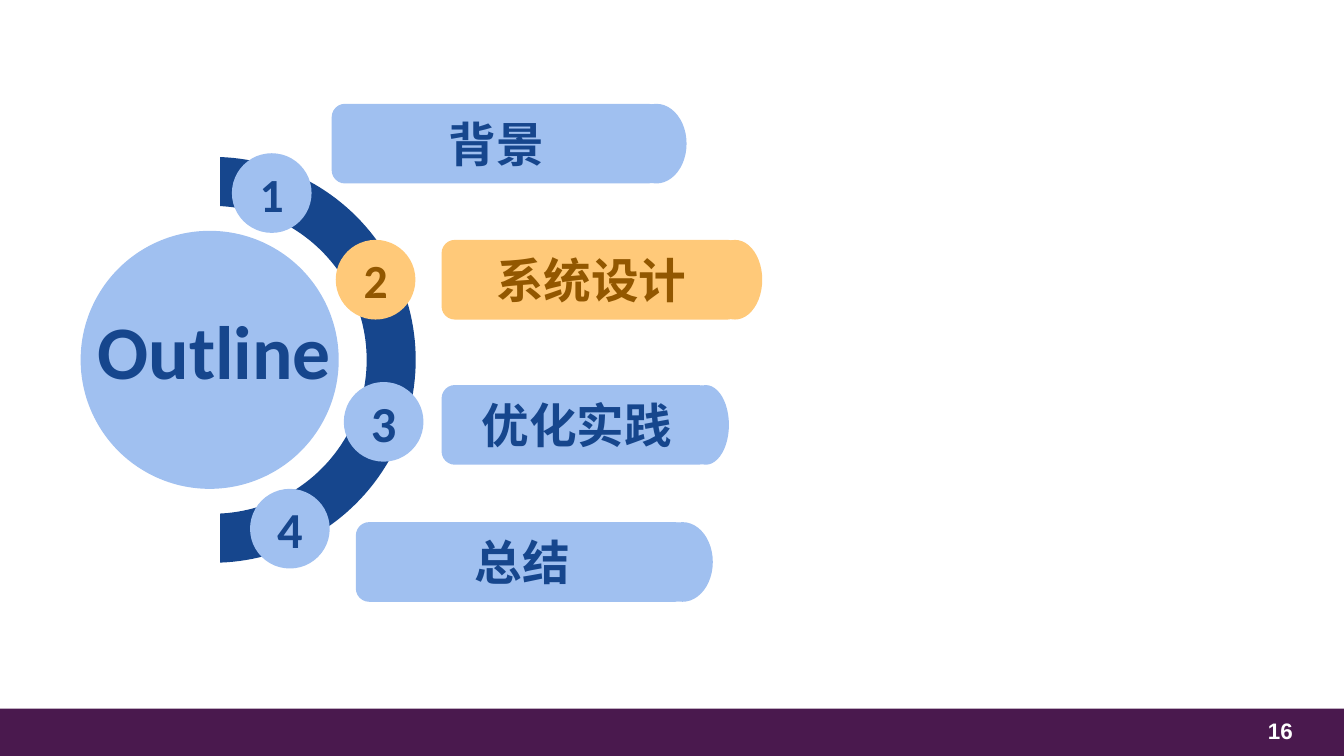
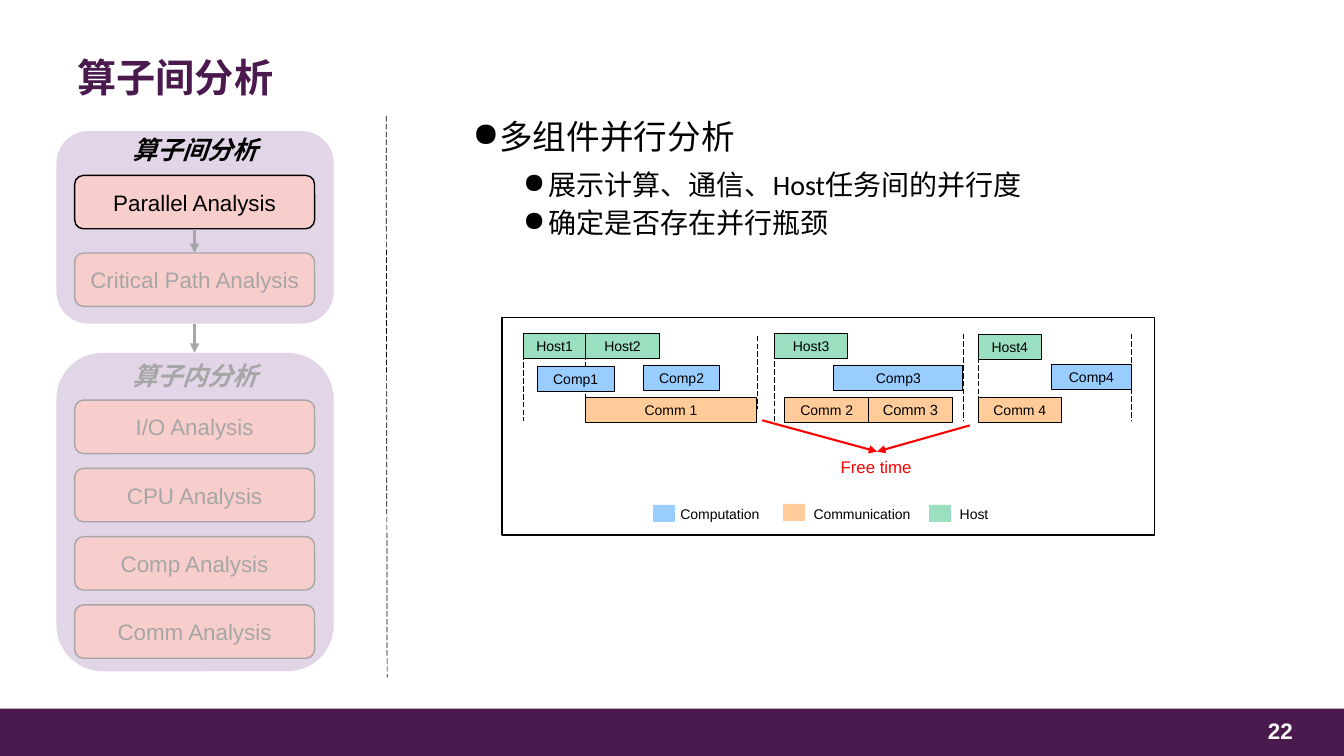
from lxml import etree
from pptx import Presentation
from pptx.dml.color import RGBColor
from pptx.enum.dml import MSO_LINE
from pptx.enum.shapes import MSO_CONNECTOR, MSO_SHAPE
from pptx.enum.text import MSO_ANCHOR, PP_ALIGN
from pptx.oxml.ns import qn
from pptx.util import Inches, Pt

RECT, ROUND, OVAL = MSO_SHAPE.RECTANGLE, MSO_SHAPE.ROUNDED_RECTANGLE, MSO_SHAPE.OVAL
STRAIGHT, LONG_DASH = MSO_CONNECTOR.STRAIGHT, MSO_LINE.LONG_DASH
LEFT, CENTER, RIGHT = PP_ALIGN.LEFT, PP_ALIGN.CENTER, PP_ALIGN.RIGHT
TOP, MIDDLE = MSO_ANCHOR.TOP, MSO_ANCHOR.MIDDLE

BLACK = RGBColor(0x00, 0x00, 0x00)
WHITE = RGBColor(0xFF, 0xFF, 0xFF)
GREY = RGBColor(0xA6, 0xA6, 0xA6)
RED = RGBColor(0xFF, 0x00, 0x00)
PURPLE = RGBColor(0x4A, 0x19, 0x4E)
NAVY = RGBColor(0x16, 0x46, 0x8D)
PALE_BLUE = RGBColor(0xA0, 0xC0, 0xF0)
AMBER = RGBColor(0xFF, 0xC9, 0x79)
BROWN = RGBColor(0x92, 0x57, 0x00)
LILAC = RGBColor(0xE1, 0xD5, 0xE7)
PINK = RGBColor(0xF8, 0xCE, 0xCC)
COMP = RGBColor(0x99, 0xCC, 0xFF)
COMM = RGBColor(0xFF, 0xCC, 0x99)
HOST = RGBColor(0x9A, 0xDF, 0xBF)

# Outline: label, number size, circle (left, top), bar (left, top, width), cap (left, width)
CHAPTERS = [
    ("背景", 34, (2.3, 1.52), (3.29, 1.03, 3.27), (6.21, 0.6)),
    ("系统设计", 34, (3.33, 2.38), (4.38, 2.38, 2.97), (7.02, 0.54)),
    ("优化实践", 36, (3.41, 3.79), (4.38, 3.82, 2.68), (6.77, 0.46)),
    ("总结", 36, (2.48, 4.85), (3.53, 5.18, 3.3), (6.47, 0.6)),
]
CURRENT_CHAPTER = 2
CHAPTER_H = 0.79

# Analysis flow: heading, heading top, colour, panel (top, height), first step top, pitch, steps
CURRENT_STEP = "Parallel Analysis"
PANELS = [
    ("算子间分析", 1.28, BLACK, (1.3, 1.91), 1.74, 0.77,
     [CURRENT_STEP, "Critical Path Analysis"]),
    ("算子内分析", 3.53, GREY, (3.5, 3.16), 3.97, 0.677,
     ["I/O Analysis", "CPU Analysis", "Comp Analysis", "Comm Analysis"]),
]
FLOW_ARROWS = [(2.27, 2.51), (3.21, 3.5)]

BULLETS = [
    (0, "多组件并行分析"),
    (1, "展示计算、通信、Host任务间的并行度"),
    (1, "确定是否存在并行瓶颈"),
]
BULLET_LEVELS = [dict(size=24, margin=0.25, after=10), dict(size=20, margin=0.75, after=6)]

# Timeline: label, left, top, width, colour
BAR_H = 0.25
BARS = [
    ("Host1", 5.19, 3.31, 0.62, HOST),
    ("Host2", 5.81, 3.31, 0.73, HOST),
    ("Host3", 7.68, 3.31, 0.73, HOST),
    ("Host4", 9.7, 3.32, 0.63, HOST),
    ("Comp1", 5.33, 3.63, 0.76, COMP),
    ("Comp2", 6.38, 3.62, 0.76, COMP),
    ("Comp3", 8.27, 3.62, 1.28, COMP),
    ("Comp4", 10.43, 3.61, 0.79, COMP),
    ("Comm 1", 5.81, 3.94, 1.69, COMM),
    ("Comm 2", 7.78, 3.94, 0.84, COMM),
    ("Comm 3", 8.61, 3.94, 0.84, COMM),
    ("Comm 4", 9.7, 3.94, 0.83, COMM),
]
# x, top, bottom
MARKERS = [(5.19, 3.44, 4.18), (5.81, 3.44, 4.06), (7.51, 3.33, 4.06), (7.68, 3.43, 4.18),
           (9.55, 3.31, 4.18), (9.7, 3.31, 4.09), (11.22, 3.31, 4.18)]
# label, swatch left, swatch top, label left, label width
LEGEND = [("Computation", COMP, 6.48, 5.01, 6.65, 1.43),
          ("Communication", COMM, 7.77, 5, 7.97, 1.79),
          ("Host", HOST, 9.22, 5.01, 9.42, 1.79)]
FREE_TIME_POINT = (8.7, 4.48)
FREE_TIME_STARTS = [(7.56, 4.17), (9.62, 4.22)]


def write(p, text, size=10, color=BLACK, font="Arial", bold=False, italic=False, align=LEFT):
    p.alignment = align
    r = p.add_run()
    r.text = text
    r.font.size, r.font.name = Pt(size), font
    r.font.bold, r.font.italic = bold, italic
    r.font.color.rgb = color


def add_text(s, box, text, anchor=TOP, **style):
    tf = s.shapes.add_textbox(*map(Inches, box)).text_frame
    tf.word_wrap = True
    tf.vertical_anchor = anchor
    write(tf.paragraphs[0], text, **style)


def add_box(s, kind, box, fill=None, line=None, width=1, text=None, **style):
    sp = s.shapes.add_shape(kind, *map(Inches, box))
    sp.shadow.inherit = False
    if fill is None:
        sp.fill.background()
    else:
        sp.fill.solid()
        sp.fill.fore_color.rgb = fill
    if line is None:
        sp.line.fill.background()
    else:
        sp.line.color.rgb = line
        sp.line.width = Pt(width)
    if text:
        tf = sp.text_frame
        tf.margin_left = tf.margin_right = tf.margin_top = tf.margin_bottom = 0
        tf.vertical_anchor = MIDDLE
        write(tf.paragraphs[0], text, align=CENTER, **style)


def add_line(s, start, end, color=BLACK, width=0.5, dashed=False, arrow=False):
    c = s.shapes.add_connector(STRAIGHT, *map(Inches, (*start, *end)))
    c.line.color.rgb = color
    c.line.width = Pt(width)
    if dashed:
        c.line.dash_style = LONG_DASH
    if arrow:
        etree.SubElement(c.line._get_or_add_ln(), qn("a:tailEnd"), type="triangle")
    etree.SubElement(c._element.spPr, qn("a:effectLst"))


def add_slide(prs, number, title=None):
    s = prs.slides.add_slide(prs.slide_layouts[6])
    add_box(s, RECT, (0, 7.03, 13.33, 0.47), PURPLE)
    add_text(s, (9.97, 7.07, 2.95, 0.35), str(number), MIDDLE,
             size=16, color=WHITE, bold=True, align=RIGHT)
    if title:
        add_text(s, (0.67, 0.38, 12, 0.77), title, MIDDLE,
                 size=28, color=PURPLE, font="Calibri", bold=True)
    return s


def add_bullets(s, box):
    tf = s.shapes.add_textbox(*map(Inches, box)).text_frame
    tf.word_wrap = True
    for i, (level, text) in enumerate(BULLETS):
        p = tf.add_paragraph() if i else tf.paragraphs[0]
        look = BULLET_LEVELS[level]
        p.level = level
        p.line_spacing = 0.9
        p.space_after = Pt(look["after"])
        pPr = p._p.get_or_add_pPr()
        pPr.set("marL", str(Inches(look["margin"])))
        pPr.set("indent", str(Inches(-0.25)))
        etree.SubElement(pPr, qn("a:buChar"), char="●")
        write(p, text, size=look["size"], font="Calibri")


def build_outline(prs):
    s = add_slide(prs, 16)
    add_box(s, OVAL, (0.34, 1.8, 3.54, 3.54), line=NAVY, width=35)
    add_box(s, RECT, (0, 1.12, 2.18, 4.75), WHITE)  # leaves the right half of the ring
    add_box(s, OVAL, (0.8, 2.29, 2.56, 2.56), PALE_BLUE)
    add_text(s, (0.72, 2.97, 2.81, 1.01), "Outline",
             size=54, color=NAVY, font="Calibri", bold=True, align=CENTER)
    for n, (label, size, circle, (x, y, w), (cap_x, cap_w)) in enumerate(CHAPTERS, 1):
        fill, color = (AMBER, BROWN) if n == CURRENT_CHAPTER else (PALE_BLUE, NAVY)
        style = dict(color=color, font="Calibri", bold=True)
        add_box(s, OVAL, (cap_x, y, cap_w, CHAPTER_H), fill)
        add_box(s, ROUND, (x, y, w, CHAPTER_H), fill, text=label, size=34, **style)
        add_box(s, OVAL, (*circle, CHAPTER_H, CHAPTER_H), fill, text=str(n), size=size, **style)


def add_flow(s):
    for heading, heading_y, color, (y, h), first, pitch, steps in PANELS:
        add_box(s, ROUND, (0.56, y, 2.75, h), LILAC)
        add_text(s, (0.69, heading_y, 2.49, 0.4), heading,
                 size=18, color=color, bold=True, italic=True, align=CENTER)
        for i, step in enumerate(steps):
            ink = BLACK if step == CURRENT_STEP else GREY
            add_box(s, ROUND, (0.74, first + i * pitch, 2.38, 0.53), PINK, ink,
                    text=step, size=16, color=ink)
    for y1, y2 in FLOW_ARROWS:
        add_line(s, (1.93, y1), (1.93, y2), GREY, 2.25, arrow=True)


def add_timeline(s):
    add_box(s, RECT, (4.98, 3.15, 6.47, 2.16), WHITE, BLACK)
    for x, y1, y2 in MARKERS:
        add_line(s, (x, y1), (x, y2), dashed=True)
    for label, x, y, w, fill in BARS:
        add_box(s, RECT, (x, y, w, BAR_H), fill, BLACK, 0.5, text=label,
                size=10.5 if label == "Comm 3" else 10)
    for label, fill, x, y, text_x, text_w in LEGEND:
        add_box(s, RECT, (x, y, 0.21, 0.16), fill, fill, 0.5)
        add_text(s, (text_x, 4.97, text_w, 0.27), label)
    for start in FREE_TIME_STARTS:
        add_line(s, start, FREE_TIME_POINT, RED, 1.5, arrow=True)
    add_text(s, (8.16, 4.48, 1.06, 0.3), "Free time", size=12, color=RED, align=CENTER)


def build_analysis(prs):
    s = add_slide(prs, 22, "算子间分析")
    add_flow(s)
    add_line(s, (3.83, 1.15), (3.84, 6.72), dashed=True)
    add_bullets(s, (4.59, 1.15, 7.64, 1.7))
    add_timeline(s)


def main():
    prs = Presentation()
    prs.slide_width, prs.slide_height = Inches(13.33), Inches(7.5)
    build_outline(prs)
    build_analysis(prs)
    prs.save("out.pptx")


if __name__ == "__main__":
    main()
